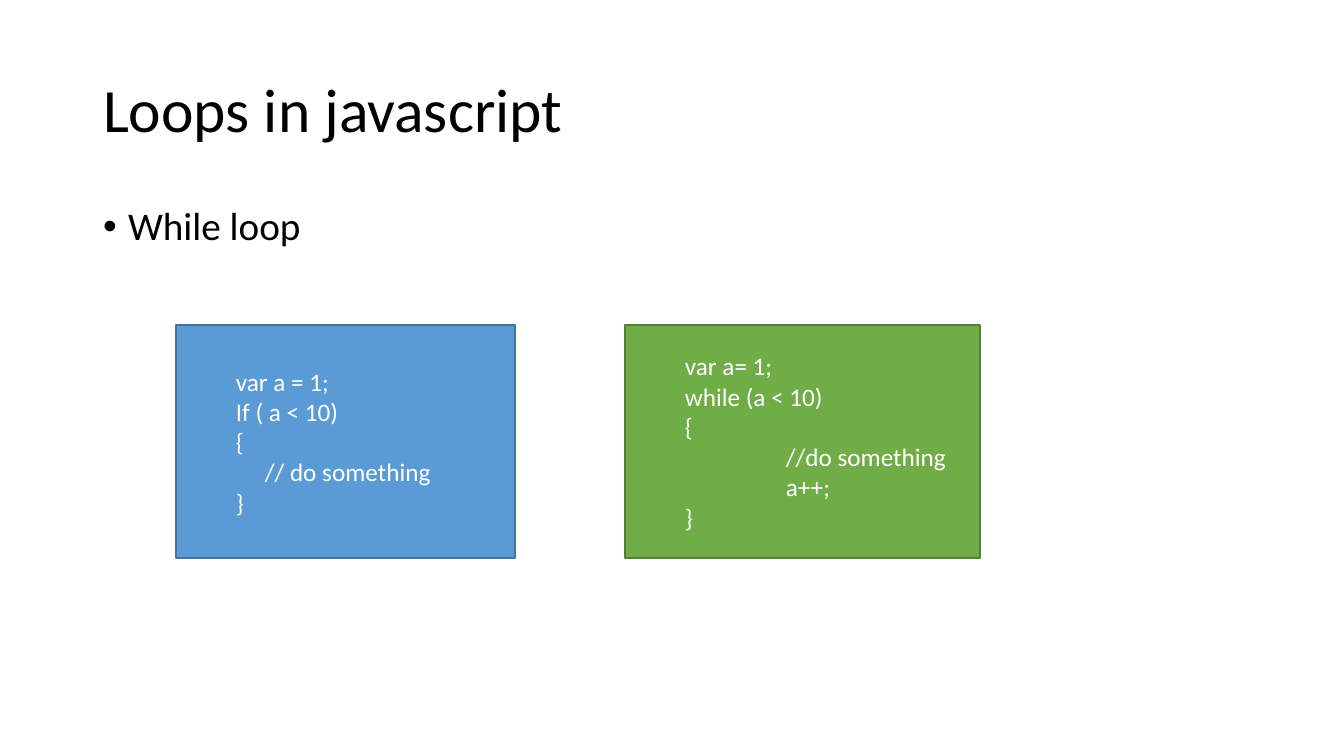
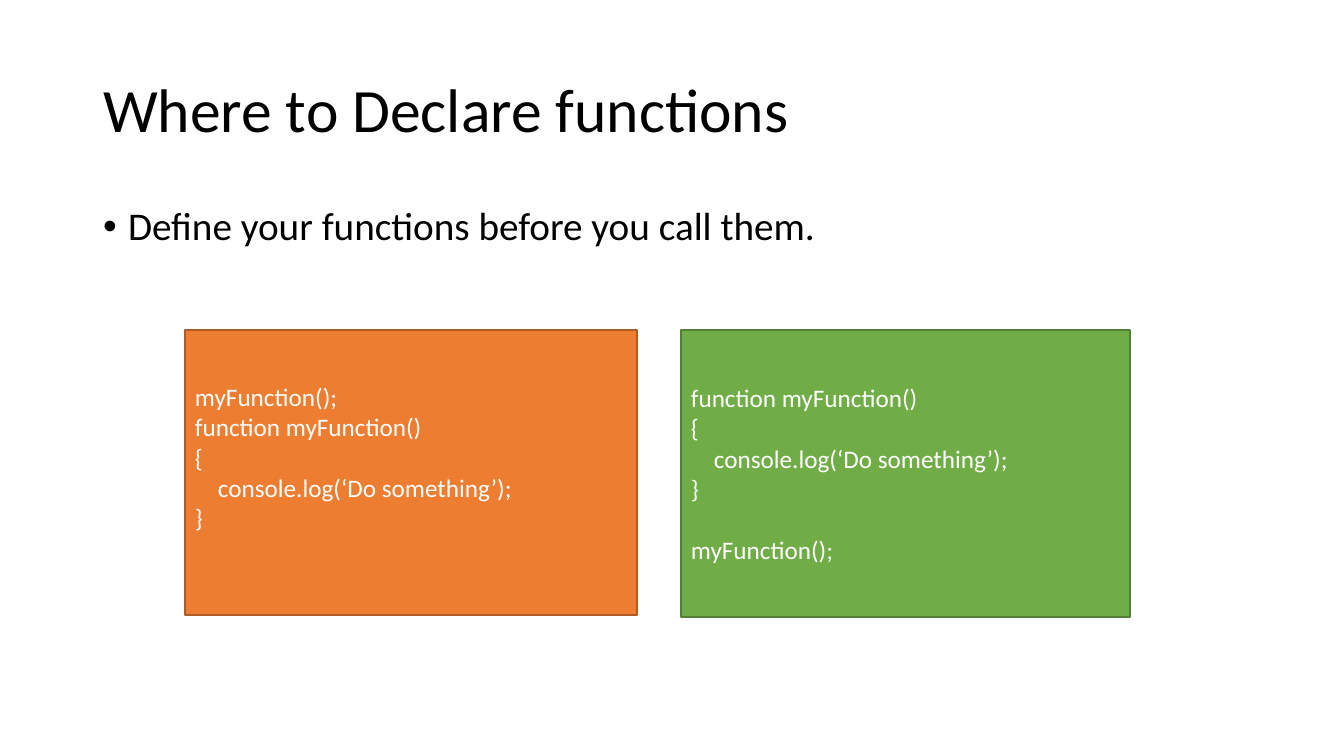
from pptx import Presentation
from pptx.dml.color import RGBColor as RGB
from pptx.enum.shapes import MSO_SHAPE as SHAPE
from pptx.enum.text import MSO_ANCHOR as ANCHOR, MSO_AUTO_SIZE as FIT, PP_ALIGN as ALIGN
from pptx.util import Pt

# Shared look
SCALE = 914400 / 100.8
FONT = "Calibri"
BLACK, WHITE = RGB(0, 0, 0), RGB(255, 255, 255)
BLUE = RGB(0x5B, 0x9B, 0xD5), RGB(0x43, 0x73, 0x9E)
GREEN = RGB(0x70, 0xAD, 0x47), RGB(0x53, 0x80, 0x35)
ORANGE = RGB(0xED, 0x7D, 0x31), RGB(0xAF, 0x5C, 0x24)
LINE = 31  # height of one line of code


def px(n):
    return round(n * SCALE)


def style(par, size, color, left=0, hang=0):
    par.alignment = ALIGN.LEFT
    par.font.name, par.font.size = FONT, Pt(size)
    par.font.color.rgb = color
    props = par._p.get_or_add_pPr()
    props.set("marL", str(px(left)))
    props.set("indent", str(px(-hang)))


# Each line of code: text, left indent, gap above
FUNC = [("function myFunction()", 0, 0), ("{", 0, 0),
        ("console.log(‘Do something’);", 23, 0), ("}", 0, 0)]
CALL = "myFunction();"

# Each box: place, fill and line, space kept free below, code
SLIDES = [
    ("Loops in javascript", "While loop", [
        ((176, 325, 339, 233), BLUE, 0,
         [("var a = 1;", 50, 0), ("If ( a < 10)", 50, 0), ("{", 50, 0),
          ("// do something", 79, 0), ("}", 50, 0)]),
        ((625, 325, 355, 233), GREEN, 0,
         [("var a= 1;", 50, 0), ("while (a < 10)", 50, 0), ("{", 50, 0),
          ("//do something", 151, 0), ("a++;", 151, 0), ("}", 50, 0)]),
    ]),
    ("Where to Declare functions", "Define your functions before you call them.", [
        ((185, 330, 452, 285), ORANGE, LINE, [(CALL, 0, 0)] + FUNC),
        ((681, 330, 449, 287), GREEN, 0, FUNC + [(CALL, 0, LINE)]),
    ]),
]

deck = Presentation()
deck.slide_width, deck.slide_height = px(1344), px(756)

# Title and body places, set once on the layout
layout = deck.slide_layouts[1]
for holder, place in zip(layout.placeholders, [(93, 40, 1159, 146), (93, 202, 1159, 480)]):
    holder.left, holder.top, holder.width, holder.height = map(px, place)

for title, point, boxes in SLIDES:
    slide = deck.slides.add_slide(layout)

    # Title and bullet
    head, body = slide.placeholders
    for holder, text, size, hang in [(head, title, 44, 0), (body, point, 28, 25)]:
        frame = holder.text_frame
        frame.text = text
        frame.auto_size = FIT.NONE
        par = frame.paragraphs[0]
        style(par, size, BLACK, hang, hang)
        par.line_spacing = 0.9
    par.space_before = Pt(10)
    head.text_frame.vertical_anchor = ANCHOR.MIDDLE

    # Code boxes
    for place, (fill, edge), free, code in boxes:
        box = slide.shapes.add_shape(SHAPE.RECTANGLE, *map(px, place))
        box.shadow.inherit = False
        box.fill.solid()
        box.fill.fore_color.rgb = fill
        box.line.color.rgb = edge
        box.line.width = Pt(1)
        frame = box.text_frame
        frame.word_wrap = True
        frame.vertical_anchor = ANCHOR.MIDDLE
        frame.margin_bottom = px(5 + free)
        frame.text = "\n".join(text for text, left, gap in code)
        for par, (text, left, gap) in zip(frame.paragraphs, code):
            style(par, 18, WHITE, left)
            par.space_before = px(gap)

deck.save("out.pptx")
